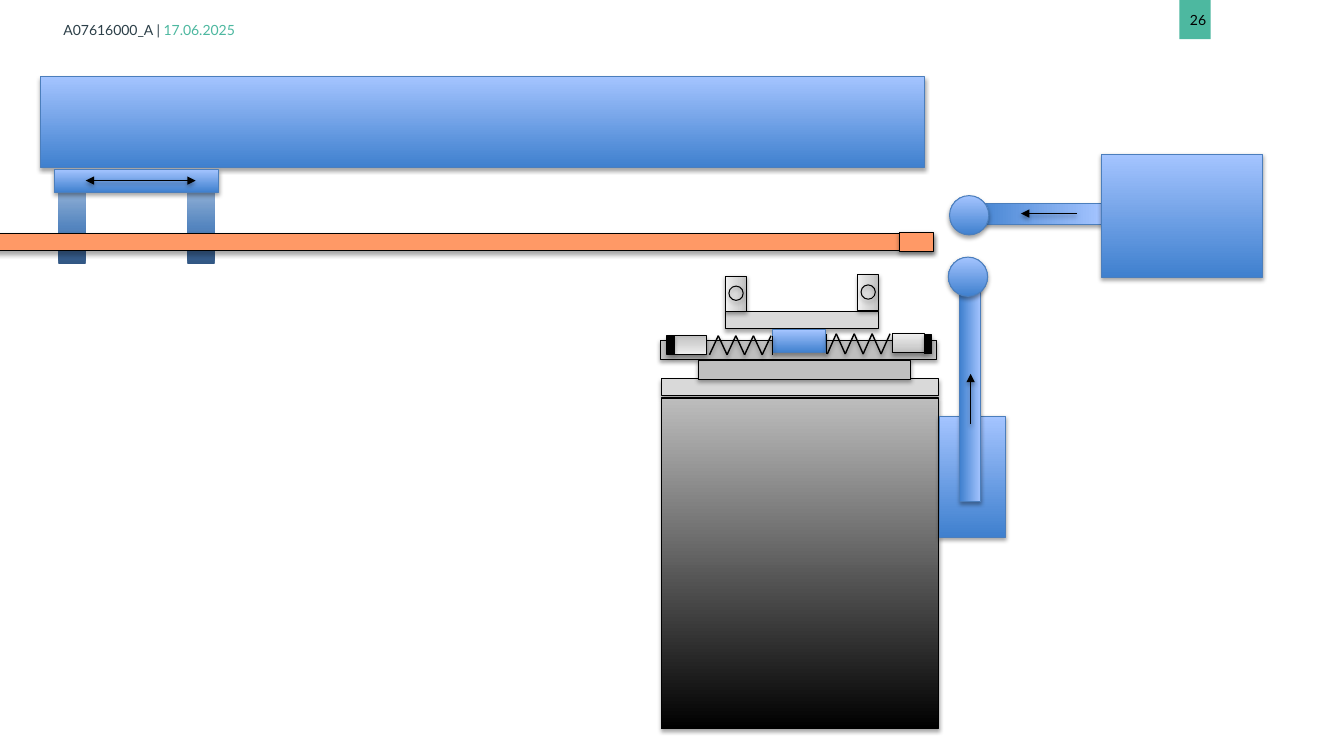
from copy import deepcopy

from pptx import Presentation
from pptx.dml.color import RGBColor
from pptx.enum.shapes import MSO_CONNECTOR, MSO_SHAPE
from pptx.enum.text import MSO_ANCHOR
from pptx.oxml import parse_xml
from pptx.oxml.ns import nsdecls, qn
from pptx.util import Cm, Pt

BLUE = [(0, "3F80CE"), (1, "A4C4FF")]
STEEL = [(0, "315683"), (0.48, "5485BF"), (1, "95B3D7")]
SILVER = [(0, "BDBDBD"), (0.35, "D1D1D1"), (1, "EEEEEE")]
GRAPHITE = [(0, "000000"), (1, "BDBDBD")]
BLACK, EDGE, ORANGE, GREEN = "000000", "4B7EBC", "FF9966", "4DB8A0"
LIGHT, GREY = "D9D9D9", "BFBFBF"
RECT, OVAL = MSO_SHAPE.RECTANGLE, MSO_SHAPE.OVAL

deck = Presentation()
deck.slide_width, deck.slide_height = Cm(33.87), Cm(19.05)
page = deck.slides.add_slide(deck.slide_layouts[6])
shaded = []


def add_part(left, top, width, height, fill, line=BLACK, kind=RECT, angle=90, shadow=True):
    part = page.shapes.add_shape(kind, Cm(left), Cm(top), Cm(width), Cm(height))
    if fill is None:
        part.fill.background()
    elif isinstance(fill, str):
        part.fill.solid()
        part.fill.fore_color.rgb = RGBColor.from_string(fill)
    else:
        part.fill.gradient()
        part.fill.gradient_angle = angle
        stop_list = part._element.spPr.find(qn("a:gradFill")).find(qn("a:gsLst"))
        for extra in range(len(fill) - 2):
            stop_list.append(deepcopy(stop_list[0]))
        for stop, (position, color) in zip(part.fill.gradient_stops, fill):
            stop.position = position
            stop.color.rgb = RGBColor.from_string(color)
    if line:
        part.line.color.rgb = RGBColor.from_string(line)
        part.line.width = Pt(0.75)
    else:
        part.line.fill.background()
    if shadow:
        shaded.append(part)
    else:
        part.shadow.inherit = False


def add_line(x1, y1, x2, y2, ends=()):
    connector = page.shapes.add_connector(
        MSO_CONNECTOR.STRAIGHT, Cm(x1), Cm(y1), Cm(x2), Cm(y2))
    connector.line.color.rgb = RGBColor.from_string(BLACK)
    connector.line.width = Pt(1)
    for end in ends:
        connector.line._get_or_add_ln().append(
            parse_xml(f'<a:{end} {nsdecls("a")} type="triangle"/>'))
    shaded.append(connector)


add_part(29.72, 0, 0.79, 0.99, GREEN, None, shadow=False)
labels = [
    (1.52, 0.46, 8.92, 0.58, 0.08, MSO_ANCHOR.MIDDLE,
     [("A07616000_A | ", "2C3F48"), ("17.06.2025", GREEN)]),
    (29.74, 0.15, 2.03, 0.69, 0.25, MSO_ANCHOR.TOP, [("26", BLACK)]),
]
for left, top, width, height, inset, anchor, spans in labels:
    box = page.shapes.add_textbox(Cm(left), Cm(top), Cm(width), Cm(height))
    frame = box.text_frame
    frame.word_wrap = True
    frame.vertical_anchor = anchor
    frame.margin_left = frame.margin_right = Cm(inset)
    frame.margin_top = frame.margin_bottom = Cm(min(inset, 0.13))
    para = frame.paragraphs[0]
    for text, color in spans:
        span = para.add_run()
        span.text = text
        span.font.name = "Lato"
        span.font.size = Pt(10)
        span.font.color.rgb = RGBColor.from_string(color)

add_part(16.66, 9.55, 6.99, 0.43, LIGHT)
add_part(16.65, 8.57, 6.96, 0.48, GREY)
add_part(17.61, 9.08, 5.33, 0.48, GREY)
add_part(16.66, 10.03, 6.99, 8.33, GRAPHITE)

add_part(18.28, 7.86, 3.86, 0.43, LIGHT)
for left, top in [(18.29, 6.96), (21.62, 6.93)]:
    add_part(left, top, 0.53, 0.89, SILVER, angle=180)
    add_part(left + 0.08, top + 0.25, 0.36, 0.36, None, kind=OVAL)
add_part(19.48, 8.31, 1.32, 0.58, BLUE, EDGE)

add_part(16.99, 8.46, 0.81, 0.48, SILVER, angle=270)
add_part(16.81, 8.46, 0.18, 0.48, BLACK)
add_part(22.5, 8.41, 0.81, 0.48, SILVER)
add_part(23.29, 8.43, 0.18, 0.48, BLACK)
springs = [(17.88, 19.43, 19.46, 8.94, 8.46), (22.43, 20.85, 20.83, 8.41, 8.92)]
for start, end, stop_x, first_y, second_y in springs:
    step = (end - start) / 7
    levels = [first_y, second_y] * 4
    for i in range(7):
        add_line(start + i * step, levels[i], start + (i + 1) * step, levels[i + 1])
    add_line(stop_x, first_y, stop_x, second_y)

add_part(1.02, 1.93, 22.28, 2.29, BLUE, EDGE)
for left in (1.47, 4.72):
    add_part(left, 4.72, 0.69, 1.93, STEEL, None, shadow=False)
add_part(1.37, 4.27, 4.14, 0.58, BLUE, EDGE)
add_part(-1.19, 5.89, 24.71, 0.43, ORANGE)
add_part(22.67, 5.85, 0.86, 0.48, ORANGE)

add_part(23.67, 10.49, 1.68, 3.05, BLUE, EDGE)
add_part(24.19, 7, 0.53, 5.64, BLUE, EDGE, angle=0)
add_part(23.9, 6.48, 0.99, 0.99, BLUE, EDGE, OVAL)
add_part(24.43, 5.13, 3.33, 0.53, BLUE, EDGE, angle=0)
add_part(23.93, 4.93, 0.99, 0.99, BLUE, EDGE, OVAL)
add_part(27.76, 3.89, 4.06, 3.1, BLUE, EDGE)

add_line(24.46, 10.69, 24.46, 9.42, ["tailEnd"])
add_line(27.13, 5.38, 25.73, 5.38, ["tailEnd"])
add_line(4.93, 4.55, 2.16, 4.55, ["headEnd", "tailEnd"])

for item in shaded:
    item._element.spPr.append(parse_xml(
        f'<a:effectLst {nsdecls("a")}>'
        f'<a:outerShdw blurRad="{Pt(3.1)}" dist="{Pt(1.8)}" dir="5400000" rotWithShape="0">'
        '<a:srgbClr val="000000"><a:alpha val="35000"/></a:srgbClr>'
        '</a:outerShdw></a:effectLst>'))

deck.save("out.pptx")
